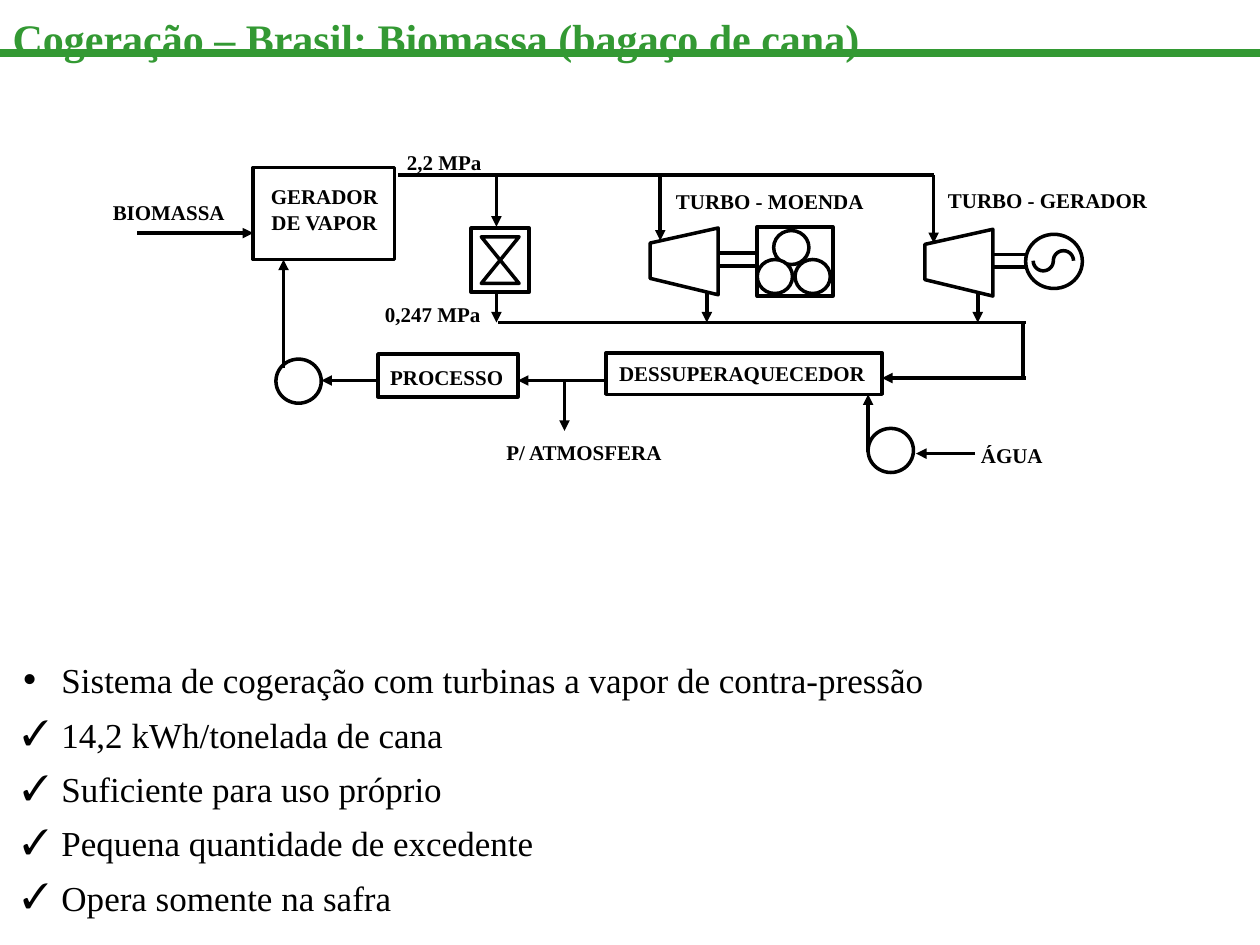
import math
from dataclasses import dataclass
from typing import NamedTuple

from lxml import etree
from pptx import Presentation
from pptx import util as u
from pptx.dml.color import RGBColor
from pptx.enum import shapes, text
from pptx.oxml import ns


@dataclass(frozen=True)
class Theme:
    font: str = "Times New Roman"
    green: RGBColor = RGBColor(0x33, 0x99, 0x33)
    ink: RGBColor = RGBColor(0, 0, 0)
    paper: RGBColor = RGBColor(255, 255, 255)
    title: int = 24
    body: int = 20
    label: int = 12
    stroke: float = 2
    rule: float = 4.5


class Box(NamedTuple):
    x: float
    y: float
    w: float
    h: float


class Label(NamedTuple):
    lines: list[str]
    box: Box


class Pipe(NamedTuple):
    x1: float
    y1: float
    x2: float
    y2: float
    arrow: bool = True


T = Theme()
RECT = shapes.MSO_SHAPE.RECTANGLE
OVAL = shapes.MSO_SHAPE.OVAL

LABELS = [
    Label(["ÁGUA"], Box(7.64, 3.51, 0.78, 0.26)),
    Label(["P/ ATMOSFERA"], Box(3.76, 3.49, 1.75, 0.28)),
    Label(["TURBO - MOENDA"], Box(5.34, 1.5, 1.54, 0.28)),
    Label(["TURBO - GERADOR"], Box(7.5, 1.49, 1.63, 0.3)),
    Label(["BIOMASSA"], Box(0.86, 1.58, 0.96, 0.33)),
    Label(["GERADOR", "DE VAPOR"], Box(2.05, 1.46, 1.05, 0.5)),
    Label(["PROCESSO"], Box(3.02, 2.89, 1.05, 0.28)),
    Label(["DESSUPERAQUECEDOR"], Box(4.85, 2.86, 2.08, 0.3)),
    Label(["0,247 MPa"], Box(2.95, 2.39, 0.97, 0.21)),
    Label(["2,2 MPa"], Box(3.04, 1.19, 0.97, 0.21)),
]

VALVE = Box(3.74, 1.81, 0.46, 0.51)
MILL = Box(6.01, 1.8, 0.6, 0.55)
UNITS = [
    VALVE,
    Box(2.01, 1.33, 1.12, 0.73),
    Box(3, 2.81, 1.11, 0.34),
    Box(4.81, 2.8, 2.19, 0.33),
    MILL,
]
PUMPS = [Box(2.19, 2.85, 0.36, 0.35), Box(6.89, 3.4, 0.36, 0.35)]
ROLLS = [Box(x, y, 0.28, 0.27) for x, y in ((6.14, 1.83), (6.01, 2.06), (6.31, 2.06))]
GENERATOR = Box(8.14, 1.86, 0.45, 0.43)
TURBINES = [(5.16, 1.93), (7.34, 1.94)]

STEAM, EXHAUST, RETURN = 1.39, 2.56, 3.02
PIPES = [
    Pipe(2.25, 2.92, 2.25, 2.06),
    Pipe(1.09, 1.85, 2.01, 1.85),
    Pipe(3.16, STEAM, 7.41, STEAM, False),
    *(Pipe(x, STEAM, x, y) for x, y in ((3.94, 1.8), (5.24, 1.91), (7.41, 1.93))),
    *(Pipe(x, 2.32, x, EXHAUST) for x in (3.94, 5.61, 7.76)),
    Pipe(3.95, EXHAUST, 8.14, EXHAUST, False),
    Pipe(8.12, EXHAUST, 8.12, 3, False),
    Pipe(8.14, 3, 7, 3),
    Pipe(4.8, RETURN, 4.11, RETURN),
    Pipe(3, RETURN, 2.55, RETURN),
    Pipe(4.48, RETURN, 4.48, 3.42),
    Pipe(6.89, 3.59, 6.89, 3.13),
    Pipe(7.74, 3.6, 7.27, 3.6),
]

BULLETS = [
    ("•", "Sistema de cogeração com turbinas a vapor de contra-pressão"),
    ("✓", "14,2 kWh/tonelada de cana"),
    ("✓", "Suficiente para uso próprio"),
    ("✓", "Pequena quantidade de excedente"),
    ("✓", "Opera somente na safra"),
]


def inch(v: float) -> u.Length:
    return u.Cm(v * 2.54)


def add_bullet(p, char: str, hang: float) -> None:
    pPr = p._p.get_or_add_pPr()
    pPr.set("marL", str(inch(hang)))
    pPr.set("indent", str(-inch(hang)))
    if char == "•":
        etree.SubElement(pPr, ns.qn("a:buSzPct")).set("val", "120000")
    etree.SubElement(pPr, ns.qn("a:buFont")).set("typeface", T.font)
    etree.SubElement(pPr, ns.qn("a:buChar")).set("char", char)


def write(sp, lines, *, size, color=T.ink, bold=False, align=text.PP_ALIGN.LEFT,
          inset=(0, 0), gap=0, bullets=(), hang=0.31) -> None:
    tf = sp.text_frame
    tf.word_wrap = True
    tf.auto_size = text.MSO_AUTO_SIZE.NONE
    tf.vertical_anchor = text.MSO_ANCHOR.TOP
    tf.margin_left = tf.margin_right = inch(inset[0])
    tf.margin_top, tf.margin_bottom = inch(inset[1]), 0
    for i, line in enumerate(lines):
        p = tf.add_paragraph() if i else tf.paragraphs[0]
        p.alignment = align
        p.space_before = u.Pt(gap if i else 0)
        if bullets:
            add_bullet(p, bullets[i], hang)
        r = p.add_run()
        r.text = line
        r.font.name, r.font.size, r.font.bold = T.font, u.Pt(size), bold
        r.font.color.rgb = color


def text_box(slide, box: Box, lines, **fmt) -> None:
    write(slide.shapes.add_textbox(*map(inch, box)), lines, **fmt)


def style(sp, filled: bool) -> None:
    sp.shadow.inherit = False
    if filled:
        sp.fill.solid()
        sp.fill.fore_color.rgb = T.paper
    else:
        sp.fill.background()
    sp.line.color.rgb = T.ink
    sp.line.width = u.Pt(T.stroke)


def draw_shape(slide, kind, box: Box) -> None:
    style(slide.shapes.add_shape(kind, *map(inch, box)), kind == OVAL)


def draw_outline(slide, points, close: bool = True) -> None:
    start, *rest = [(inch(x), inch(y)) for x, y in points]
    fb = slide.shapes.build_freeform(*start)
    fb.add_line_segments(rest, close=close)
    style(fb.convert_to_shape(), False)


def draw_pipe(slide, pipe: Pipe, color=T.ink, width: float = T.stroke) -> None:
    c = slide.shapes.add_connector(shapes.MSO_CONNECTOR.STRAIGHT, *map(inch, pipe[:4]))
    c.line.color.rgb = color
    c.line.width = u.Pt(width)
    if pipe.arrow:
        etree.SubElement(c.line._get_or_add_ln(), ns.qn("a:tailEnd")).set("type", "triangle")
    etree.SubElement(c._element.spPr, ns.qn("a:effectLst"))


def draw_turbine(slide, x: float, y: float) -> None:
    w = 0.54
    draw_outline(slide, [(x, y), (x + w, y - 0.12), (x + w, y + 0.41), (x, y + 0.28)])
    for dy in (0.08, 0.18):
        draw_pipe(slide, Pipe(x + w, y + dy, x + w + 0.3, y + dy, False))


def draw_wave(slide, x: float, y: float, radius: float) -> None:
    steps = [math.pi * i / 16 for i in range(17)]
    dip = [(x - radius - radius * math.cos(a), y + radius * math.sin(a)) for a in steps]
    crest = [(x + radius - radius * math.cos(a), y - radius * math.sin(a)) for a in steps]
    draw_outline(slide, dip + crest[1:], close=False)


def main() -> None:
    prs = Presentation()
    prs.slide_width, prs.slide_height = inch(10), inch(7.5)
    s = prs.slides.add_slide(prs.slide_layouts[5])

    title = s.shapes.title
    title.left, title.top, title.width, title.height = map(inch, Box(0, 0, 10, 0.5))
    write(title, ["Cogeração – Brasil: Biomassa (bagaço de cana)"], size=T.title,
          color=T.green, bold=True, inset=(0.1, 0.1))
    draw_pipe(s, Pipe(0, 0.42, 10, 0.42, False), T.green, T.rule)

    marks, lines = zip(*BULLETS)
    text_box(s, Box(0.08, 5.1, 9.5, 2.24), lines, size=T.body, inset=(0.1, 0.13),
             gap=7, bullets=marks)

    for box in PUMPS + ROLLS:
        draw_shape(s, OVAL, box)
    for box in UNITS:
        draw_shape(s, RECT, box)
    draw_outline(s, [(3.82, 1.88), (4.12, 1.88), (3.82, 2.25), (4.12, 2.25)])
    for x, y in TURBINES:
        draw_turbine(s, x, y)
    draw_shape(s, OVAL, GENERATOR)
    draw_wave(s, 8.36, 2.07, 0.08)
    for pipe in PIPES:
        draw_pipe(s, pipe)
    for label in LABELS:
        text_box(s, label.box, label.lines, size=T.label, bold=True,
                 align=text.PP_ALIGN.CENTER)

    prs.save("out.pptx")


if __name__ == "__main__":
    main()
